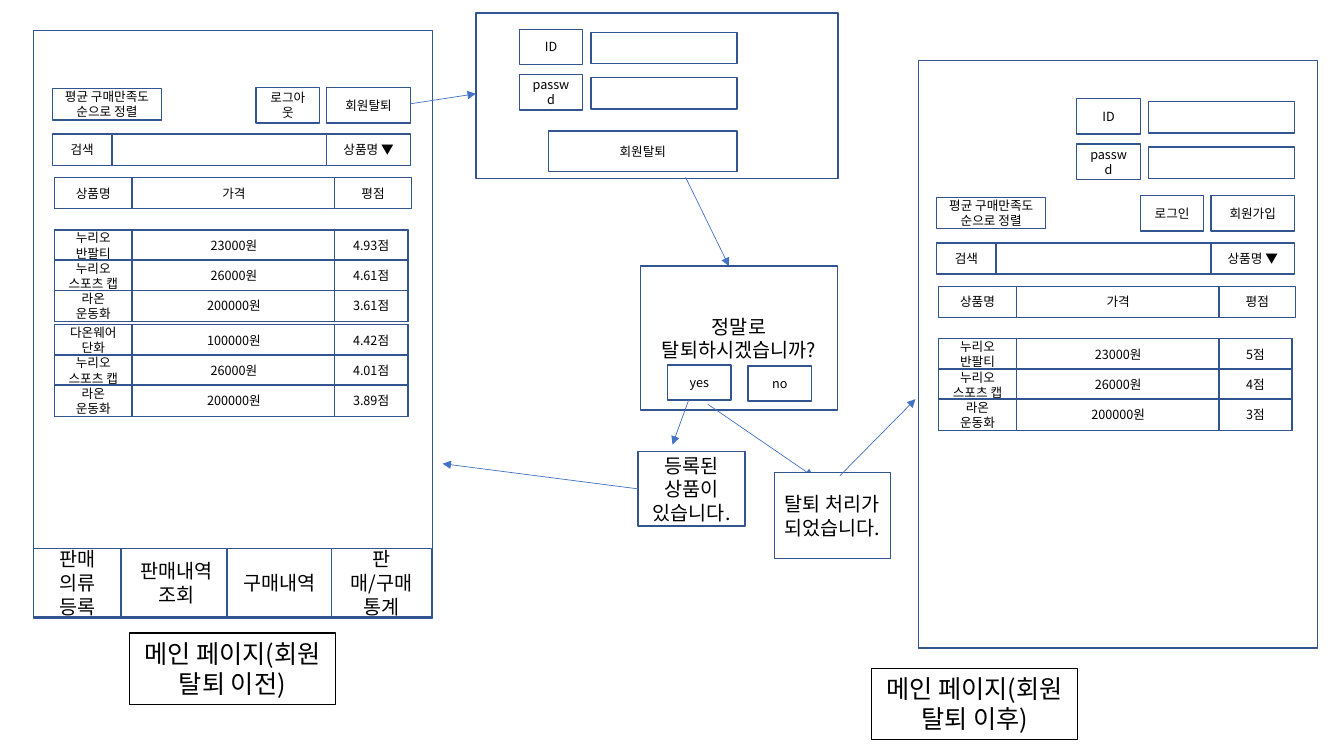
import lxml.etree
import pptx
import pptx.dml.color
import pptx.enum.shapes
import pptx.enum.text
import pptx.oxml.ns
import pptx.util

Inches = pptx.util.Inches
qn = pptx.oxml.ns.qn


def color(hex_code):
    return pptx.dml.color.RGBColor.from_string(hex_code)


class Wireframe:
    FONT = "Noto Sans CJK KR"
    WHITE, BLACK, BORDER, FLOW = "FFFFFF", "000000", "325491", "4472C4"
    SMALL, MEDIUM, LARGE = 9, 14, 18
    CELL_HEIGHT, ROW_STEP = 0.31, 0.3

    def __init__(self, page):
        self.page = page

    def label(self, shape, text, size):
        frame = shape.text_frame
        frame.word_wrap = True
        para = frame.paragraphs[0]
        para.alignment = pptx.enum.text.PP_ALIGN.CENTER
        span = para.add_run()
        span.text = text
        span.font.size = pptx.util.Pt(size)
        span.font.color.rgb = color(self.BLACK)
        span.font.name = self.FONT
        east_asian = lxml.etree.SubElement(span.font._element, qn("a:ea"))
        east_asian.set("typeface", self.FONT)

    def box(self, left, top, width, height, text="", size=SMALL):
        shape = self.page.shapes.add_shape(
            pptx.enum.shapes.MSO_SHAPE.RECTANGLE,
            Inches(left), Inches(top), Inches(width), Inches(height))
        shape.shadow.inherit = False
        shape.fill.solid()
        shape.fill.fore_color.rgb = color(self.WHITE)
        shape.line.color.rgb = color(self.BORDER)
        shape.line.width = pptx.util.Pt(1)
        if text:
            shape.text_frame.vertical_anchor = pptx.enum.text.MSO_ANCHOR.MIDDLE
            self.label(shape, text, size)

    def button(self, left, top, text, width=0.63):
        self.box(left, top, width, 0.35, text)

    def caption(self, left, top, text):
        box = self.page.shapes.add_textbox(
            Inches(left), Inches(top), Inches(2.05), Inches(0.71))
        box.line.color.rgb = color(self.BLACK)
        box.line.width = pptx.util.Pt(0.75)
        self.label(box, text, self.LARGE)
        box.text_frame.auto_size = pptx.enum.text.MSO_AUTO_SIZE.SHAPE_TO_FIT_TEXT

    def arrow(self, x1, y1, x2, y2):
        line = self.page.shapes.add_connector(
            pptx.enum.shapes.MSO_CONNECTOR.STRAIGHT,
            Inches(x1), Inches(y1), Inches(x2), Inches(y2))
        line.line.color.rgb = color(self.FLOW)
        line.line.width = pptx.util.Pt(0.5)
        properties = line._element.spPr
        tail = lxml.etree.SubElement(properties.find(qn("a:ln")), qn("a:tailEnd"))
        tail.set("type", "triangle")
        lxml.etree.SubElement(properties, qn("a:effectLst"))

    def login_fields(self, left, top):
        for index, name in enumerate(("ID", "passwd")):
            y = top + index * 0.45
            self.box(left + 0.71, y + 0.03, 1.45, self.CELL_HEIGHT)
            self.button(left, y, name)

    def row(self, left, top, cells, rating_width=0.72):
        self.box(left, top, 3.51, self.CELL_HEIGHT)
        columns = ((0, 0.77), (0.77, 2.02), (2.78, rating_width))
        for (offset, width), text in zip(columns, cells):
            self.box(left + offset, top, width, self.CELL_HEIGHT, text)

    def product_list(self, left, top, groups):
        """Sort button, search bar, header and groups of product rows."""
        self.box(left, top, 1.08, self.CELL_HEIGHT, "평균 구매만족도 순으로 정렬")
        search = ((0.59, 2.13, ""), (0, 0.59, "검색"), (2.72, 0.83, "상품명 ▼"))
        for offset, width, text in search:
            self.box(left + offset, top + 0.45, width, self.CELL_HEIGHT, text)
        self.row(left + 0.02, top + 0.88, ("상품명", "가격", "평점"), 0.76)
        for group_index, products in enumerate(groups):
            for index, cells in enumerate(products):
                y = top + 1.4 + group_index * 0.94 + index * self.ROW_STEP
                self.row(left + 0.02, y, cells)


def main():
    deck = pptx.Presentation()
    deck.slide_width, deck.slide_height = Inches(13.33), Inches(7.5)
    wire = Wireframe(deck.slides.add_slide(deck.slide_layouts[6]))

    shirt, cap, shoes = "누리오 반팔티", "누리오 스포츠 캡", "라온 운동화"
    before = (
        ((shirt, "23000원", "4.93점"),
         (cap, "26000원", "4.61점"),
         (shoes, "200000원", "3.61점")),
        (("다온웨어 단화", "100000원", "4.42점"),
         (cap, "26000원", "4.01점"),
         (shoes, "200000원", "3.89점")),
    )
    after = (
        ((shirt, "23000원", "5점"),
         (cap, "26000원", "4점"),
         (shoes, "200000원", "3점")),
    )

    # Main page before withdrawal
    wire.box(0.33, 0.3, 3.96, 5.83)
    wire.button(2.54, 0.87, "로그아웃")
    wire.button(3.24, 0.87, "회원탈퇴", 0.83)
    wire.product_list(0.52, 0.88, before)
    menu = ((0.33, 0.87, "판매 의류 등록"), (1.2, 1.11, "판매내역 조회"),
            (2.25, 1.04, "구매내역"), (3.29, 0.99, "판매/구매 통계"))
    for left, width, text in menu:
        wire.box(left, 5.44, width, 0.68, text, wire.MEDIUM)

    # Withdrawal form
    wire.arrow(4.07, 1.03, 4.72, 0.93)
    wire.box(4.72, 0.13, 3.59, 1.64)
    wire.login_fields(5.15, 0.29)
    wire.box(5.44, 1.3, 1.87, 0.4, "회원탈퇴")

    # Confirmation and its two outcomes
    wire.arrow(6.8, 1.76, 7.23, 2.64)
    wire.box(6.35, 2.64, 1.96, 1.43, "정말로 탈퇴하시겠습니까?", wire.MEDIUM)
    wire.button(6.62, 3.62, "yes")
    wire.button(7.42, 3.63, "no")
    wire.box(6.33, 4.48, 1.06, 0.74, "등록된 상품이 있습니다.", wire.MEDIUM)
    wire.arrow(6.83, 3.97, 6.67, 4.41)
    wire.arrow(7.02, 4.01, 8.07, 4.73)
    wire.box(7.68, 4.69, 1.15, 0.85, "탈퇴 처리가 되었습니다.", wire.MEDIUM)
    wire.arrow(6.33, 4.85, 4.39, 4.6)

    # Main page after withdrawal
    wire.box(9.11, 0.6, 3.96, 5.83)
    wire.login_fields(10.68, 0.98)
    wire.button(11.31, 1.94, "로그인")
    wire.button(12.01, 1.94, "회원가입", 0.83)
    wire.product_list(9.29, 1.96, after)
    wire.arrow(8.33, 4.72, 9.08, 3.96)

    # Page captions
    wire.caption(1.28, 6.28, "메인 페이지(회원 탈퇴 이전)")
    wire.caption(8.64, 6.63, "메인 페이지(회원 탈퇴 이후)")

    deck.save("out.pptx")


if __name__ == "__main__":
    main()
